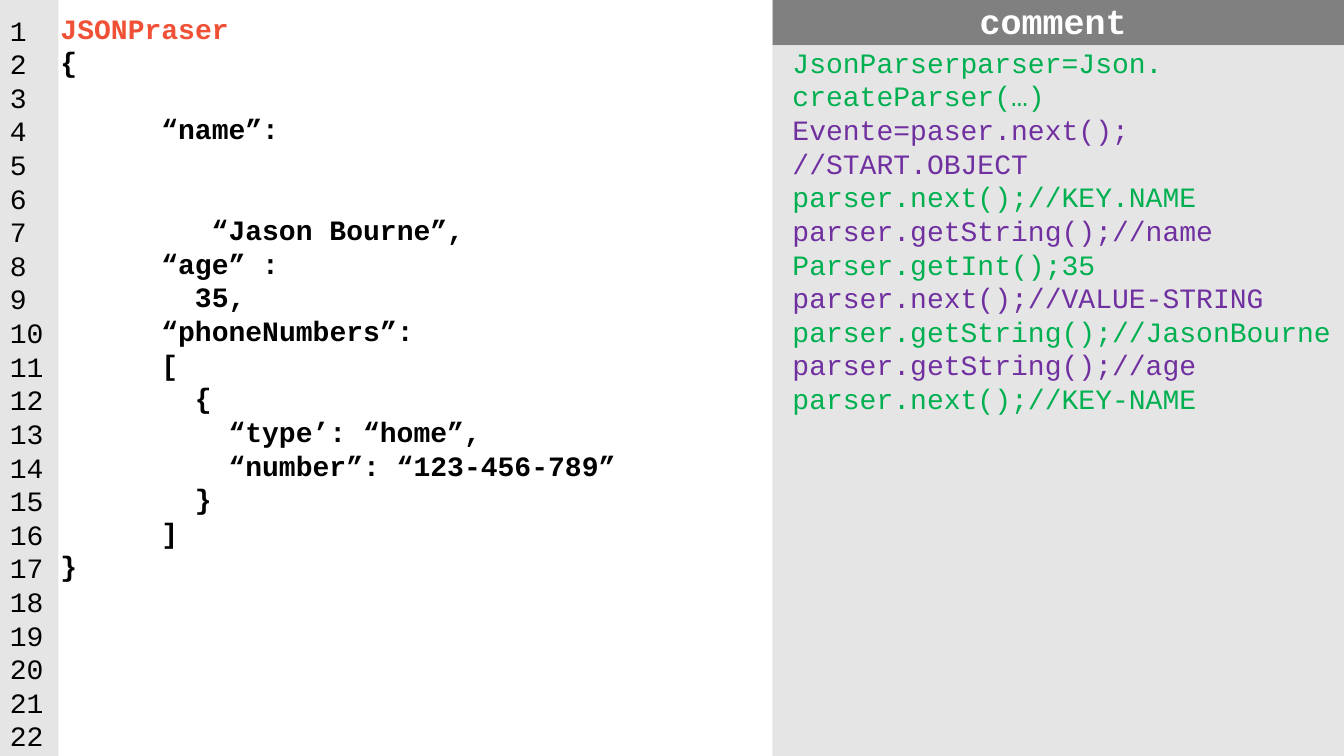
from dataclasses import dataclass

from lxml.etree import SubElement
from pptx import Presentation
from pptx.dml.color import RGBColor as Rgb
from pptx.enum.shapes import MSO_SHAPE as Shape
from pptx.enum.text import MSO_ANCHOR as Anchor, MSO_AUTO_SIZE as Fit, PP_ALIGN as Align
from pptx.oxml.ns import qn
from pptx.util import Inches, Pt


@dataclass(frozen=True)
class Theme:
    """Colours and type sizes of the slide."""
    font: str = "Courier New"
    size: int = 20
    head: int = 25
    pitch: int = 24
    char: float = 1 / 6
    black: str = "000000"
    white: str = "FFFFFF"
    red: str = "F05136"
    green: str = "00B050"
    plum: str = "7030A0"
    pane: str = "E5E5E5"
    bar: str = "808080"
    rail: str = "D9D9D9"
    alpha: int = 68


T = Theme()
TITLE = "comment"
COUNT = 22
# (row, indent in characters, text)
CODE = [
    (1, 0, "JSONPraser"),
    (2, 0, "{"),
    (4, 6, "“name”:"),
    (7, 9, "“Jason Bourne”,"),
    (8, 6, "“age” :"),
    (9, 8, "35,"),
    (10, 6, "“phoneNumbers”:"),
    (11, 6, "["),
    (12, 8, "{"),
    (13, 10, "“type’: “home”,"),
    (14, 10, "“number”: “123-456-789”"),
    (15, 8, "}"),
    (16, 6, "]"),
    (17, 0, "}"),
]
NOTES = [
    (T.green, "JsonParserparser=Json."),
    (T.green, "createParser(…)"),
    (T.plum, "Evente=paser.next();"),
    (T.plum, "//START.OBJECT"),
    (T.green, "parser.next();//KEY.NAME"),
    (T.plum, "parser.getString();//name"),
    (T.green, "Parser.getInt();35"),
    (T.plum, "parser.next();//VALUE-STRING"),
    (T.green, "parser.getString();//JasonBourne"),
    (T.plum, "parser.getString();//age"),
    (T.green, "parser.next();//KEY-NAME"),
]
SPLIT, RAIL, STRIP, BAR = 7.66, 0.58, 0.08, 0.45
WIDE, HIGH = 13.33, 7.5


def place(shape, box, fill):
    """Move a shape to its box and fill it."""
    shape.left, shape.top, shape.width, shape.height = map(Inches, box)
    shape.fill.solid()
    shape.fill.fore_color.rgb = Rgb.from_string(fill)
    shape.line.fill.background()


def frame(shape, inset, anchor=Anchor.TOP):
    """Set up the text frame of a shape and return it."""
    text = shape.text_frame
    text.word_wrap = True
    text.auto_size = Fit.NONE
    text.vertical_anchor = anchor
    text.margin_left, text.margin_top, text.margin_right, text.margin_bottom = map(Inches, inset)
    return text


def style(run, color, size=T.size, bold=False):
    """Set the font of a run."""
    font = run.font
    font.name, font.size, font.bold = T.font, Pt(size), bold
    font.color.rgb = Rgb.from_string(color)


def write(text, rows, bold=False):
    """Write rows of (row, indent, text, colour), one paragraph each."""
    last = 0
    for row, dent, words, color in rows:
        para = text.add_paragraph() if last else text.paragraphs[0]
        para.alignment = Align.LEFT
        para.line_spacing = Pt(T.pitch)
        para.space_before = Pt((row - last - 1) * T.pitch)
        para.space_after = Pt(0)
        props = para._p.get_or_add_pPr()
        props.set("marL", str(Inches(dent * T.char)))
        props.set("indent", "0")
        SubElement(props, qn("a:buNone"))
        run = para.add_run()
        run.text = words
        style(run, color, bold=bold)
        last = row


def rail(slide, top, high):
    """Add a translucent piece of the line number rail."""
    piece = slide.shapes.add_shape(Shape.RECTANGLE, 0, 0, 0, 0)
    piece.shadow.inherit = False
    place(piece, (0, top, RAIL, high), T.rail)
    tint = piece.fill._xPr.find(".//" + qn("a:srgbClr"))
    SubElement(tint, qn("a:alpha")).set("val", str(T.alpha * 1000))
    return piece


def main():
    """Build the slide and save it."""
    deck = Presentation()
    deck.slide_width, deck.slide_height = Inches(WIDE), Inches(HIGH)
    slide = deck.slides.add_slide(deck.slide_layouts[3])
    head, code, notes = slide.placeholders

    place(head, (SPLIT, 0, WIDE - SPLIT, BAR), T.bar)
    para = frame(head, (0, 0.05, 0.1, 0.1), Anchor.MIDDLE).paragraphs[0]
    para.alignment = Align.CENTER
    run = para.add_run()
    run.text = TITLE
    style(run, T.white, T.head, True)

    place(code, (0, 0, SPLIT, HIGH), T.white)
    rows = [(row, dent, words, T.red if row == 1 else T.black) for row, dent, words in CODE]
    write(frame(code, (0.6, 0.11, 0.1, 1)), rows, True)

    place(notes, (SPLIT, BAR, WIDE - SPLIT, HIGH - BAR), T.pane)
    rows = [(row, 0, words, color) for row, (color, words) in enumerate(NOTES, 1)]
    write(frame(notes, (0.2, 0, 0, 0)), rows)

    rail(slide, 0, STRIP)
    lines = rail(slide, STRIP, HIGH - STRIP)
    rows = [(row, 0, str(row), T.black) for row in range(1, COUNT + 1)]
    write(frame(lines, (0.1, 0.05, 0.1, 0)), rows)

    deck.save("out.pptx")


if __name__ == "__main__":
    main()
